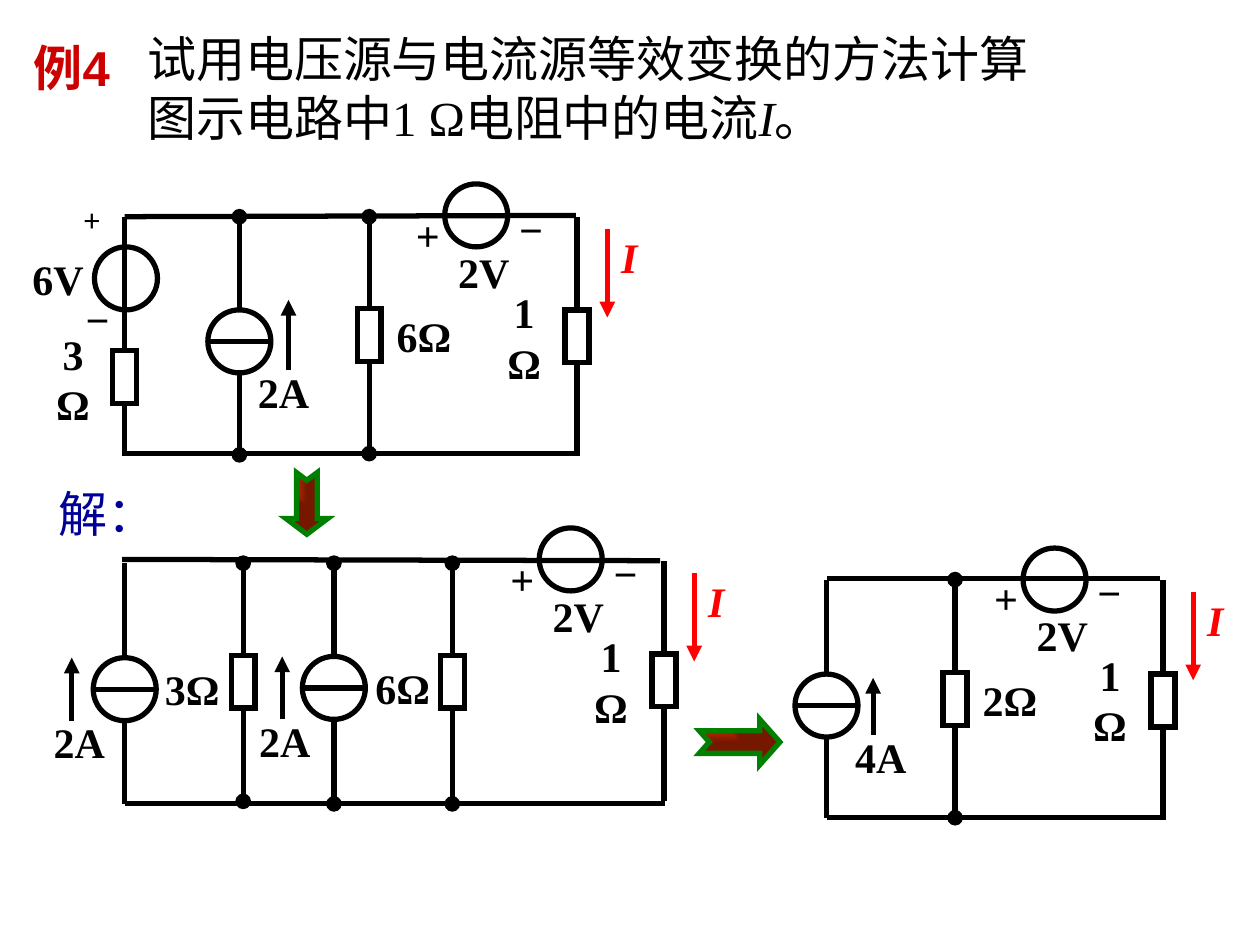
"""Builds a slide on solving a circuit by equivalent source transformation."""
from lxml import etree
from pptx import Presentation
from pptx.dml.color import RGBColor
from pptx.enum.shapes import MSO_CONNECTOR, MSO_SHAPE as SHAPE
from pptx.enum.text import MSO_ANCHOR as ANCHOR, MSO_AUTO_SIZE, PP_ALIGN as ALIGN
from pptx.oxml.ns import qn
from pptx.util import Inches, Pt

BLACK = RGBColor(0x00, 0x00, 0x00)
RED = RGBColor(0xFF, 0x00, 0x00)
CRIMSON = RGBColor(0xCC, 0x00, 0x00)
NAVY = RGBColor(0x00, 0x00, 0x99)
GREEN = RGBColor(0x00, 0x80, 0x00)
ORANGE = RGBColor(0xFF, 0x33, 0x00)
MAROON = RGBColor(0x76, 0x18, 0x00)
SERIF = "Times New Roman"

prs = Presentation()
prs.slide_width, prs.slide_height = Inches(10), Inches(7.5)
slide = prs.slides.add_slide(prs.slide_layouts[5])
shapes = slide.shapes


def write(text, box=None, holder=None, size=24, font=SERIF, color=BLACK, bold=True,
          italic=False, align=ALIGN.CENTER, anchor=ANCHOR.MIDDLE, wrap=True,
          spacing=None, inset=0.11):
    holder = holder or shapes.add_textbox(*map(Inches, box))
    frame = holder.text_frame
    frame.auto_size = MSO_AUTO_SIZE.NONE
    frame.word_wrap = wrap
    frame.vertical_anchor = anchor
    frame.margin_left = frame.margin_right = Inches(inset)
    frame.margin_top = frame.margin_bottom = Inches(0.05)
    paragraph = frame.paragraphs[0]
    paragraph.alignment = align
    if spacing:
        paragraph.line_spacing = spacing
    run = paragraph.add_run()
    run.text = text
    run.font.size, run.font.name = Pt(size), font
    run.font.bold, run.font.italic = bold, italic
    run.font.color.rgb = color


def wire(x1, y1, x2, y2, end=None, color=BLACK, start=None, site=0):
    line = shapes.add_connector(MSO_CONNECTOR.STRAIGHT, *map(Inches, (x1, y1, x2, y2)))
    line.line.color.rgb, line.line.width = color, Pt(3)
    if end:
        etree.SubElement(line.line._get_or_add_ln(), qn("a:tailEnd"), type=end)
    etree.SubElement(line._element.spPr, qn("a:effectLst"))
    if start:
        line.begin_connect(start, site)


problem = shapes.title
problem.left, problem.top, problem.width, problem.height = map(Inches, (1.06, 0.18, 7.33, 1.04))
for text, italic in [("试用电压源与电流源等效变换的方法计算图示电路中1 Ω电阻中的电流", False),
                     ("I", True), ("。", False)]:
    write(text, holder=problem, size=28, bold=False, italic=italic,
          align=ALIGN.LEFT, anchor=ANCHOR.TOP)
write("例4", (0.17, 0.25, 0.94, 0.58), size=28, font="Arial", color=CRIMSON,
      align=ALIGN.LEFT, anchor=ANCHOR.TOP, inset=0.1)
write("解：", (0.18, 3.79, 0.96, 0.61), size=28, font="Arial", color=NAVY,
      bold=False, anchor=ANCHOR.TOP)

for box, rotation, head in [((2.19, 3.83, 0.49, 0.33), 90, 0.377),
                            ((5.55, 5.71, 0.64, 0.36), 0, 0.443)]:
    step = shapes.add_shape(SHAPE.NOTCHED_RIGHT_ARROW, *map(Inches, box))
    step.rotation, step.adjustments[1] = rotation, head
    step.shadow.inherit = False
    step.fill.gradient()
    for stop, color in zip(step.fill.gradient_stops, (ORANGE, MAROON)):
        stop.color.rgb = color
    gradient = step._element.spPr.find(qn("a:gradFill"))
    gradient.remove(gradient.find(qn("a:lin")))
    focus = etree.SubElement(gradient, qn("a:path"), path="rect")
    etree.SubElement(focus, qn("a:fillToRect"), r="100000", b="100000")
    step.line.color.rgb, step.line.width = GREEN, Pt(3)
    etree.SubElement(step.line._get_or_add_ln(), qn("a:miter"), lim="800000")

for rail in [(0.99, 1.72, 4.57, 1.71), (0.97, 3.6, 4.56, 3.6),
             (0.97, 4.44, 5.24, 4.45), (0.99, 6.38, 5.28, 6.38),
             (6.56, 4.59, 9.21, 4.59), (6.56, 6.49, 9.22, 6.49)]:
    wire(*rail)

resistors = [
    (0.99, 1.72, 2.78, 3.62, None), (2.93, 1.72, 2.45, 3.6, "oval"),
    (4.58, 1.72, 2.46, 3.62, None), (1.93, 4.47, 5.2, 6.36, "oval"),
    (3.59, 4.47, 5.2, 6.38, "oval"), (5.27, 4.45, 5.19, 6.36, None),
    (7.58, 4.6, 5.34, 6.49, "oval"), (9.23, 4.6, 5.35, 6.51, None),
]
for x, top, body_top, bottom, node in resistors:
    resistor = shapes.add_shape(SHAPE.RECTANGLE, Inches(x - 0.095), Inches(body_top),
                                Inches(0.19), Inches(0.42))
    resistor.shadow.inherit = False
    resistor.fill.background()
    resistor.line.color.rgb, resistor.line.width = BLACK, Pt(3)
    etree.SubElement(resistor.line._get_or_add_ln(), qn("a:miter"), lim="800000")
    wire(x, body_top, x, top, node, start=resistor, site=0)
    wire(x, body_top + 0.42, x, bottom, node, start=resistor, site=2)

current_sources = [
    ("2A", 1.9, 1.72, 2.46, 3.61, "oval", 2.29, 2.94, 2.38, 1.94, 2.85),
    ("2A", 2.65, 4.47, 5.21, 6.38, "oval", 2.24, 5.71, 5.21, 1.95, 5.62),
    ("2A", 0.99, 4.47, 5.22, 6.38, None, 0.57, 5.72, 5.22, 0.32, 5.63),
    ("4A", 6.56, 4.6, 5.35, 6.49, None, 6.93, 5.83, 5.38, 6.68, 5.75),
]
for (value, x, top, body_top, bottom, node,
     arrow_x, arrow_from, arrow_to, label_x, label_y) in current_sources:
    wire(x, body_top, x, top, node)
    wire(x, body_top + 0.5, x, bottom, node)
    wire(x - 0.25, body_top + 0.25, x + 0.25, body_top + 0.25)
    wire(arrow_x, arrow_from, arrow_x, arrow_to, "triangle")
    write(value, (label_x, label_y, 0.62, 0.51), wrap=False)

circles = [(0.75, 1.96), (3.53, 1.46), (4.28, 4.19), (8.12, 4.35)]
circles += [(x - 0.25, body_top) for _, x, _, body_top, *_ in current_sources]
for left, top in circles:
    source = shapes.add_shape(SHAPE.OVAL, *map(Inches, (left, top, 0.5, 0.5)))
    source.shadow.inherit = False
    source.fill.background()
    source.line.color.rgb, source.line.width = BLACK, Pt(3)

wire(0.99, 1.72, 0.99, 2.78)
write("6V", (0.15, 1.96, 0.62, 0.51), wrap=False)
write("+", (0.57, 1.54, 0.42, 0.5), size=18, font="Calibri", bold=False,
      align=ALIGN.LEFT, anchor=ANCHOR.TOP, inset=0.1)
write("−", (0.57, 2.38, 0.37, 0.39), spacing=0.7)
write("3Ω", (0.26, 2.75, 0.64, 0.51))

for value, left, top in [("6Ω", 2.99, 2.41), ("6Ω", 2.82, 5.2),
                         ("3Ω", 1.15, 5.21), ("2Ω", 7.64, 5.3)]:
    write(value, (left, top, 0.75, 0.51))

for load_x, top, source_x in [(4.58, 1.72, 3.53), (5.27, 4.45, 4.28), (9.23, 4.6, 8.12)]:
    write("2V", (source_x, top + 0.18, 0.62, 0.51), wrap=False)
    write("+", (source_x - 0.34, top, 0.37, 0.39), spacing=0.7)
    write("−", (source_x + 0.48, top - 0.05, 0.37, 0.39), spacing=0.7)
    write("1Ω", (load_x - 0.74, top + 0.7, 0.64, 0.51))
    wire(load_x + 0.24, top + 0.1, load_x + 0.24, top + 0.8, "triangle", RED)
    write("I", (load_x + 0.24, top + 0.06, 0.35, 0.51), color=RED, italic=True, wrap=False)

prs.save("out.pptx")
